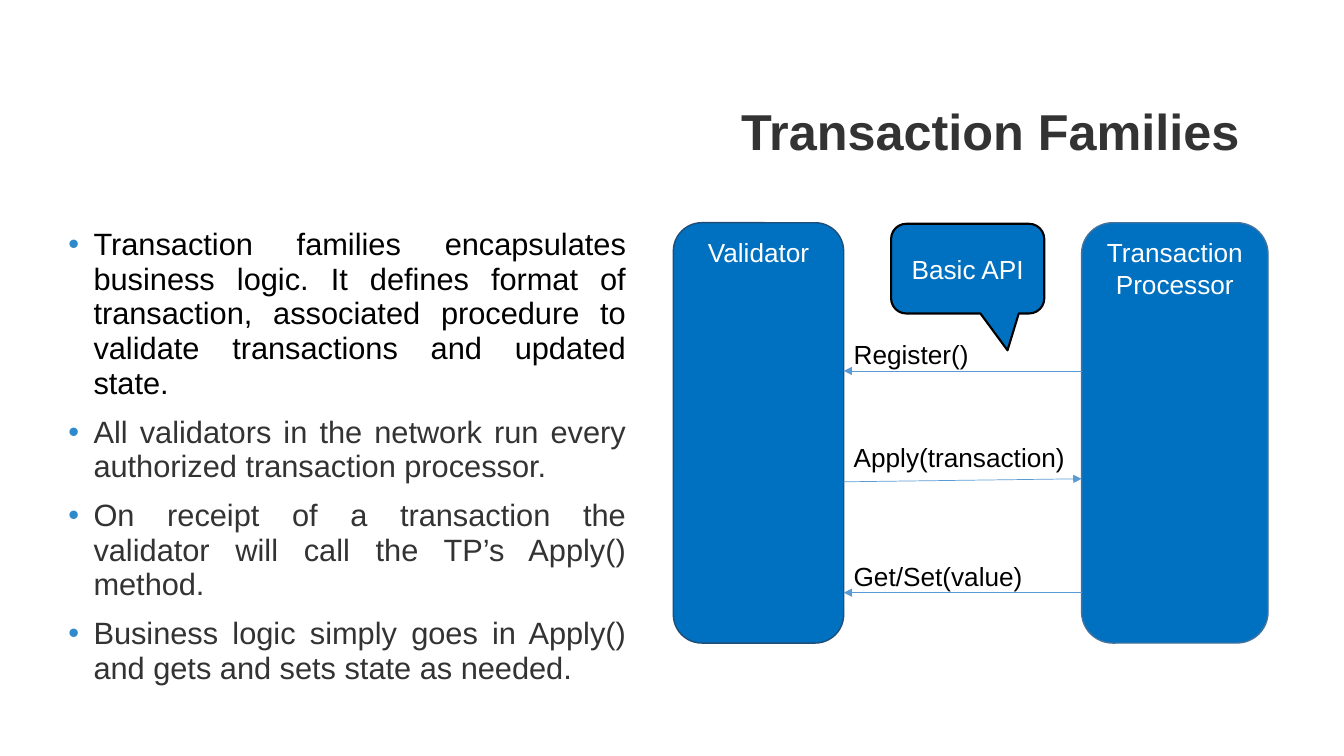
from dataclasses import dataclass

from lxml.etree import SubElement
from pptx import Presentation
from pptx.dml.color import RGBColor
from pptx.enum.shapes import MSO_CONNECTOR as Connector, MSO_SHAPE as Preset
from pptx.enum.text import MSO_ANCHOR as Anchor, MSO_AUTO_SIZE as AutoSize, PP_ALIGN as Align
from pptx.oxml.ns import qn
from pptx.slide import Slide
from pptx.text.text import TextFrame, _Paragraph as Paragraph
from pptx.util import Emu, Inches, Pt

COLORS = {
    "ink": "333333", "black": "000000", "white": "FFFFFF", "bullet": "2E8ACA",
    "fill": "0070C0", "validator": "1F4E79", "processor": "43739E", "arrow": "5B9BD5",
}
FONT = "Arial"
LABEL_SIZE = 18.7
WIDTH, HEIGHT = Inches(13.3333), Inches(7.5)
COLUMN, ROW = WIDTH / 40, HEIGHT / 30


@dataclass(frozen=True)
class Area:
    column: float
    row: float
    columns: float
    rows: float

    def box(self) -> tuple[Emu, Emu, Emu, Emu]:
        return (Emu(round(self.column * COLUMN)), Emu(round(self.row * ROW)),
                Emu(round(self.columns * COLUMN)), Emu(round(self.rows * ROW)))


@dataclass(frozen=True)
class Block:
    text: str
    area: Area
    outline: str
    line_width: float = 1
    preset: Preset = Preset.ROUNDED_RECTANGLE
    anchor: Anchor = Anchor.TOP
    adjustments: tuple[float, ...] = ()


@dataclass(frozen=True)
class Call:
    text: str
    label: Area
    start: tuple[float, float]
    end: tuple[float, float]


VALIDATOR_EDGE, PROCESSOR_EDGE = 25.11, 32.19
TITLE_AREA = Area(15.36, 3.88, 21.84, 2.92)
BODY_AREA = Area(1.74, 8.84, 17.19, 15.72)
BULLETS = [
    ("Transaction families encapsulates business logic. It defines format of transaction, "
     "associated procedure to validate transactions and updated state.", "black"),
    ("All validators in the network run every authorized transaction processor.", "ink"),
    ("On receipt of a transaction the validator will call the TP’s Apply() method.", "ink"),
    ("Business logic simply goes in Apply() and gets and sets state as needed.", "ink"),
]
BLOCKS = [
    Block("Transaction Processor", Area(PROCESSOR_EDGE, 8.84, 5.55, 16.68), "processor"),
    Block("Validator", Area(20.04, 8.84, 5.07, 16.68), "validator"),
    Block("Basic API", Area(26.52, 8.88, 4.56, 3.56), "black", 1.5,
          Preset.ROUNDED_RECTANGULAR_CALLOUT, Anchor.MIDDLE, (0.26, 0.91, 0.17)),
]
CALLS = [
    Call("Register()", Area(VALIDATOR_EDGE, 13.24, 4.05, 1.68),
         (PROCESSOR_EDGE, 14.72), (VALIDATOR_EDGE, 14.72)),
    Call("Get/Set(value)", Area(VALIDATOR_EDGE, 22.04, 5.67, 1.68),
         (PROCESSOR_EDGE, 23.52), (VALIDATOR_EDGE, 23.52)),
    Call("Apply(transaction)", Area(VALIDATOR_EDGE, 17.32, 6.93, 1.68),
         (VALIDATOR_EDGE, 19.12), (PROCESSOR_EDGE, 19)),
]


def color(name: str) -> RGBColor:
    return RGBColor.from_string(COLORS[name])


def write(paragraph: Paragraph, text: str, size: float, ink: str,
          align: Align = Align.LEFT, bold: bool = False) -> None:
    paragraph.text = text
    paragraph.alignment = align
    font = paragraph.font
    font.name, font.size, font.bold = FONT, Pt(size), bold
    font.color.rgb = color(ink)


def add_title(slide: Slide) -> None:
    title = slide.shapes.title
    title.left, title.top, title.width, title.height = TITLE_AREA.box()
    frame = title.text_frame
    frame.auto_size = AutoSize.NONE
    frame.vertical_anchor = Anchor.MIDDLE
    write(frame.paragraphs[0], "Transaction Families", 36, "ink", Align.RIGHT, True)
    frame.paragraphs[0].line_spacing = 0.9


def add_bullet(paragraph: Paragraph) -> None:
    properties = paragraph._p.get_or_add_pPr()
    properties.set("marL", str(Inches(0.25)))
    properties.set("indent", str(Inches(-0.25)))
    bullet_color = SubElement(properties, qn("a:buClr"))
    SubElement(bullet_color, qn("a:srgbClr"), val=COLORS["bullet"])
    SubElement(properties, qn("a:buFont"), typeface=FONT)
    SubElement(properties, qn("a:buChar"), char="•")


def add_body(slide: Slide) -> None:
    frame: TextFrame = slide.shapes.add_textbox(*BODY_AREA.box()).text_frame
    frame.word_wrap = True
    for index, (text, ink) in enumerate(BULLETS):
        paragraph = frame.add_paragraph() if index else frame.paragraphs[0]
        add_bullet(paragraph)
        write(paragraph, text, 22, ink, Align.JUSTIFY)
        paragraph.line_spacing = 0.94
        paragraph.space_before = Pt(10 if index else 0)


def add_block(slide: Slide, block: Block) -> None:
    shape = slide.shapes.add_shape(block.preset, *block.area.box())
    shape.shadow.inherit = False
    for index, value in enumerate(block.adjustments):
        shape.adjustments[index] = value
    shape.fill.solid()
    shape.fill.fore_color.rgb = color(block.fill if hasattr(block, "fill") else "fill")
    shape.line.color.rgb = color(block.outline)
    shape.line.width = Pt(block.line_width)
    frame = shape.text_frame
    frame.word_wrap = True
    frame.vertical_anchor = block.anchor
    write(frame.paragraphs[0], block.text, LABEL_SIZE, "white", Align.CENTER)


def add_call(slide: Slide, call: Call) -> None:
    points = [Emu(round(value * unit)) for point in (call.start, call.end)
              for value, unit in zip(point, (COLUMN, ROW))]
    arrow = slide.shapes.add_connector(Connector.STRAIGHT, *points)
    arrow.line.color.rgb = color("arrow")
    arrow.line.width = Pt(0.5)
    SubElement(arrow.line._get_or_add_ln(), qn("a:tailEnd"), type="triangle")
    SubElement(arrow._element.spPr, qn("a:effectLst"))

    frame = slide.shapes.add_textbox(*call.label.box()).text_frame
    frame.word_wrap = False
    frame.auto_size = AutoSize.SHAPE_TO_FIT_TEXT
    write(frame.paragraphs[0], call.text, LABEL_SIZE, "black")


def main() -> None:
    presentation = Presentation()
    presentation.slide_width, presentation.slide_height = WIDTH, HEIGHT
    slide = presentation.slides.add_slide(presentation.slide_layouts.get_by_name("Title Only"))
    add_title(slide)
    add_body(slide)
    for block in BLOCKS:
        add_block(slide, block)
    for call in CALLS:
        add_call(slide, call)
    presentation.save("out.pptx")


if __name__ == "__main__":
    main()
